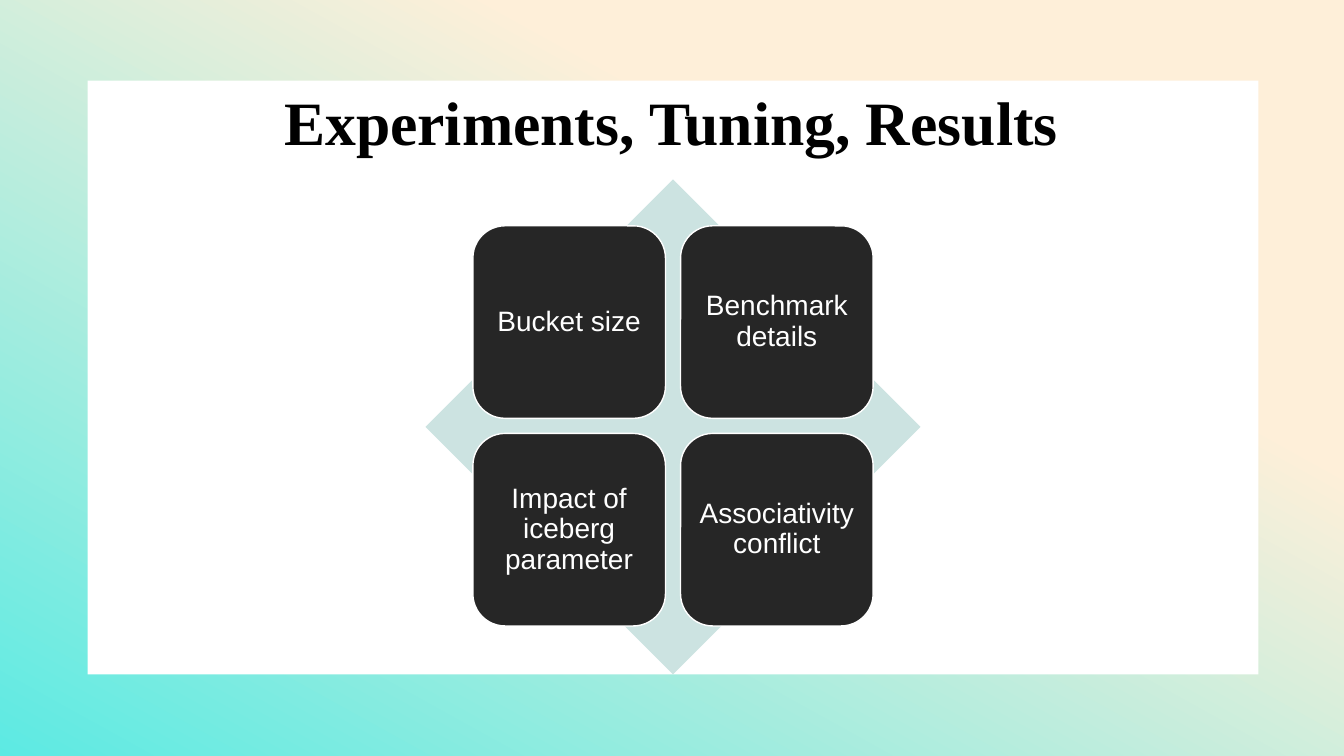
from pptx import Presentation
from pptx import util as u
from pptx.dml.color import RGBColor
from pptx.enum import shapes, text

COLOURS = {
    "cream": "FEEFD9",
    "turquoise": "58EAE3",
    "white": "FFFFFF",
    "black": "000000",
    "mist": "CCE3E1",
    "charcoal": "262626",
}
TOPICS = [
    "Bucket size",
    "Benchmark details",
    "Impact of iceberg parameter",
    "Associativity conflict",
]


def colour(name):
    return RGBColor.from_string(COLOURS[name])


class SlideBuilder:
    """Holds the fonts and the slide that is being filled."""

    title_font = "Times New Roman"
    body_font = "Arial"

    def __init__(self, slide):
        self.slide = slide

    def add_words(self, frame, words, font, size, colour_name, bold=False):
        frame.word_wrap = True
        paragraph = frame.paragraphs[0]
        paragraph.alignment = text.PP_ALIGN.CENTER
        paragraph.line_spacing = 0.9
        run = paragraph.add_run()
        run.text = words
        run.font.name = font
        run.font.size = u.Pt(size)
        run.font.bold = bold
        run.font.color.rgb = colour(colour_name)
        return paragraph

    def shape(self, parent, kind, box, fill, line=None):
        shape = parent.add_shape(kind, *map(u.Inches, box))
        shape.shadow.inherit = False
        shape.fill.solid()
        shape.fill.fore_color.rgb = colour(fill)
        if line:
            shape.line.color.rgb = colour(line)
            shape.line.width = u.Pt(1)
        else:
            shape.line.fill.background()
        return shape

    def gradient_backdrop(self, box, stops):
        shape = self.shape(self.slide.shapes, shapes.MSO_SHAPE.RECTANGLE, box, "cream")
        shape.rotation = 359
        shape.fill.gradient()
        shape.fill.gradient_angle = 240
        for stop, (position, name) in zip(shape.fill.gradient_stops, stops):
            stop.position = position
            stop.color.rgb = colour(name)

    def title(self, words, box):
        title = self.slide.shapes.title
        title.left, title.top, title.width, title.height = map(u.Inches, box)
        title.text_frame.vertical_anchor = text.MSO_ANCHOR.TOP
        self.add_words(title.text_frame, words, self.title_font, 44, "black", bold=True)

    def label(self, parent, words, box):
        frame = parent.add_textbox(*map(u.Inches, box)).text_frame
        frame.vertical_anchor = text.MSO_ANCHOR.MIDDLE
        frame.margin_left = frame.margin_right = u.Inches(0.08)
        frame.margin_top = frame.margin_bottom = u.Inches(0.08)
        paragraph = self.add_words(frame, words, self.body_font, 20, "white")
        paragraph.space_after = u.Pt(7)

    def topic_matrix(self, topics):
        """Draw a diamond with a two-by-two grid of topic tiles over it."""
        left, top, tile, step, inset = 4.69, 2.24, 1.91, 2.06, 0.09
        group = self.slide.shapes.add_group_shape().shapes
        self.shape(group, shapes.MSO_SHAPE.DIAMOND, (4.22, 1.78, 4.91, 4.91), "mist")
        for index, topic in enumerate(topics):
            row, column = divmod(index, 2)
            x, y = left + column * step, top + row * step
            self.shape(group, shapes.MSO_SHAPE.ROUNDED_RECTANGLE,
                       (x, y, tile, tile), "charcoal", line="white")
            side = tile - 2 * inset
            self.label(group, topic, (x + inset, y + inset, side, side))


def main():
    presentation = Presentation()
    presentation.slide_width = u.Inches(13.33)
    presentation.slide_height = u.Inches(7.5)
    title_only = presentation.slide_layouts[5]
    builder = SlideBuilder(presentation.slides.add_slide(title_only))

    builder.gradient_backdrop((-0.06, -0.12, 13.46, 7.73),
                              [(0.32, "cream"), (1, "turquoise")])
    builder.shape(builder.slide.shapes, shapes.MSO_SHAPE.RECTANGLE,
                  (0.87, 0.8, 11.61, 5.89), "white")
    builder.title("Experiments, Tuning, Results", (2.33, 0.87, 8.66, 1.02))
    # The title placeholder comes first in the tree, so lift it above the panel.
    title = builder.slide.shapes.title
    title.element.getparent().append(title.element)
    builder.topic_matrix(TOPICS)

    presentation.save("out.pptx")


if __name__ == "__main__":
    main()
